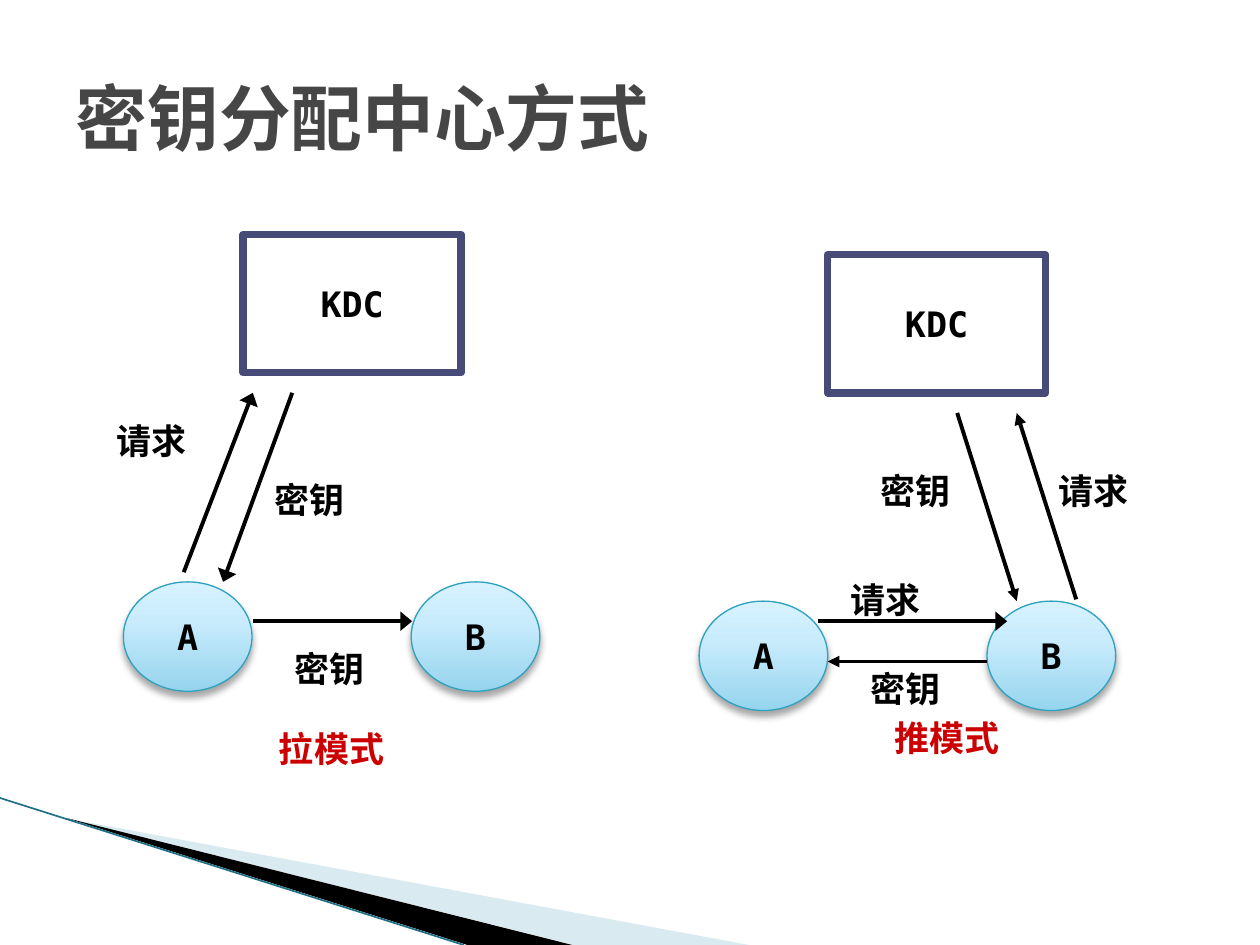
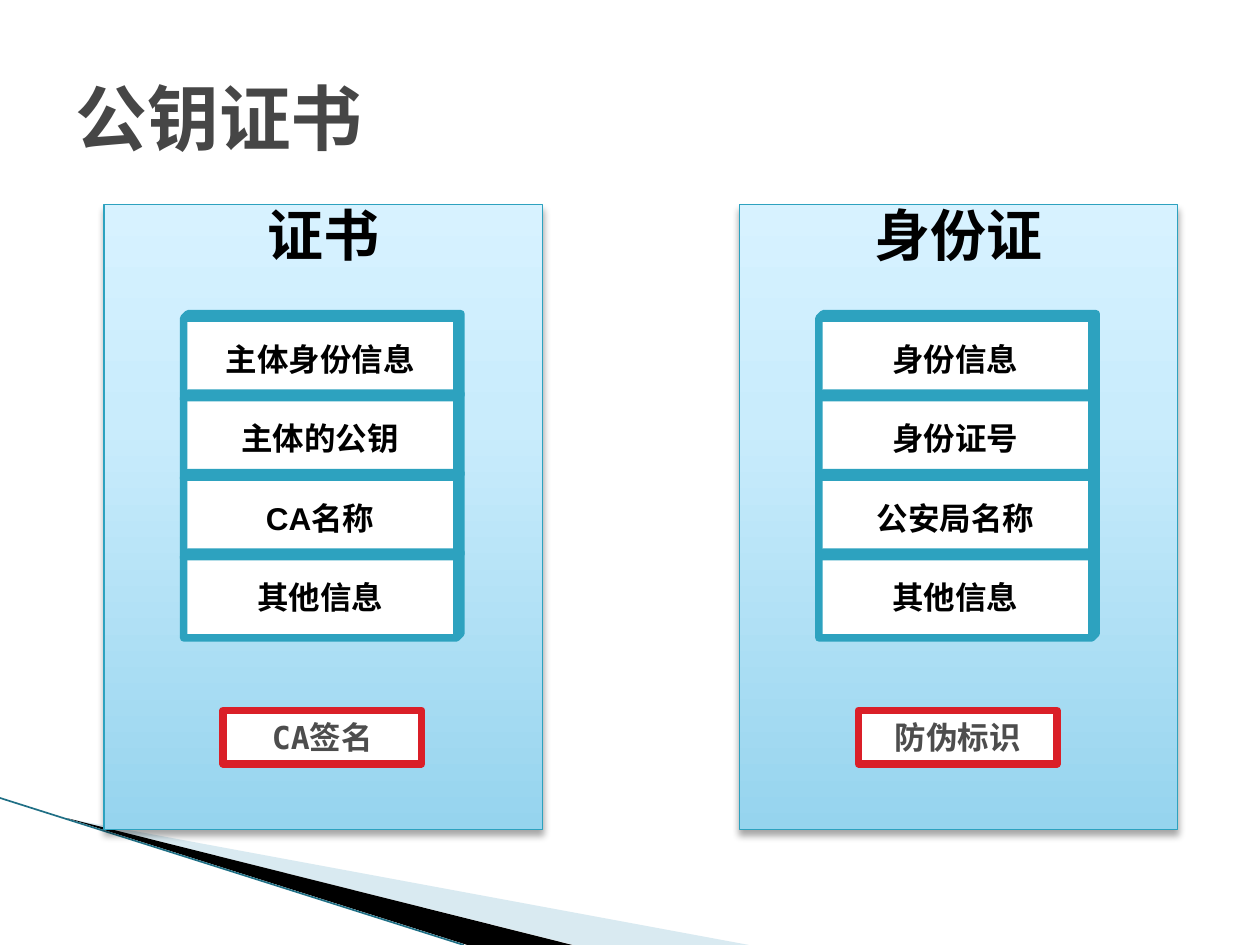
"""Build two slides on key distribution centres and public key certificates."""

import lxml.etree
import pptx
import pptx.dml.color
import pptx.enum.lang
import pptx.enum.shapes
import pptx.enum.text
import pptx.oxml.ns
import pptx.util

Pt = pptx.util.Pt
qn = pptx.oxml.ns.qn
SHAPES = pptx.enum.shapes.MSO_SHAPE
ALIGN = pptx.enum.text.PP_ALIGN
ANCHOR = pptx.enum.text.MSO_ANCHOR

COLORS = {
    "title": "464646",
    "black": "000000",
    "white": "FFFFFF",
    "navy": "474B78",
    "teal": "2DA2BF",
    "red": "DA1F28",
    "mode": "CC0000",
    "seal": "4D4D4D",
    "wedge": "A0CBDC",
    "edge": "1F6F85",
}
GRADIENT = [(0, "96D4EE"), (65, "C9ECFC"), (100, "D7F2FF")]
MONO = "DejaVu Sans Mono"
SANS = "Arial"


def rgb(name):
    return pptx.dml.color.RGBColor.from_string(COLORS[name])


def place(shape, left, top, width, height):
    shape.left, shape.top = Pt(left), Pt(top)
    shape.width, shape.height = Pt(width), Pt(height)


def write(shape, text, size, font, color="black", align=ALIGN.CENTER,
          anchor=ANCHOR.MIDDLE, wrap=True):
    frame = shape.text_frame
    frame.text = text
    frame.word_wrap = wrap
    frame.auto_size = pptx.enum.text.MSO_AUTO_SIZE.NONE
    frame.vertical_anchor = anchor
    paragraph = frame.paragraphs[0]
    paragraph.alignment = align
    for run in paragraph.runs:
        run.font.size = Pt(size)
        run.font.name = font
        run.font.bold = True
        run.font.color.rgb = rgb(color)
        run.font.language_id = pptx.enum.lang.MSO_LANGUAGE_ID.SIMPLIFIED_CHINESE


def outline(shape, color, width):
    shape.line.color.rgb = rgb(color)
    shape.line.width = Pt(width)


def glossy(shape):
    """Give a shape the pale blue gradient, thin teal line and soft shadow."""
    shape.fill.gradient()
    shape.fill.gradient_angle = 90
    properties = shape.element.spPr
    stops = properties.find(".//" + qn("a:gsLst"))
    for stop in list(stops):
        stops.remove(stop)
    for position, value in GRADIENT:
        stop = lxml.etree.SubElement(stops, qn("a:gs"), pos=str(position * 1000))
        lxml.etree.SubElement(stop, qn("a:srgbClr"), val=value)
    outline(shape, "teal", 0.75)
    shape.shadow.inherit = False
    shadow = lxml.etree.SubElement(
        properties.find(qn("a:effectLst")), qn("a:outerShdw"),
        blurRad=str(Pt(4)), dist=str(Pt(3)), dir="5400000", rotWithShape="0")
    shade = lxml.etree.SubElement(shadow, qn("a:srgbClr"), val=COLORS["black"])
    lxml.etree.SubElement(shade, qn("a:alpha"), val="35000")


def add_preset(slide, preset, left, top, width, height):
    return slide.shapes.add_shape(preset, Pt(left), Pt(top), Pt(width), Pt(height))


def add_framed(slide, preset, box, text, size, font, line, color="black", wrap=False):
    shape = add_preset(slide, preset, *box)
    shape.shadow.inherit = False
    shape.fill.solid()
    shape.fill.fore_color.rgb = rgb("white")
    outline(shape, line, 4.33)
    write(shape, text, size, font, color, wrap=wrap)
    return shape


def add_party(slide, name, left, top):
    party = add_preset(slide, SHAPES.OVAL, left, top, 73.5, 62.5)
    glossy(party)
    write(party, name, 20, MONO, wrap=False)


def add_label(slide, text, left, top, width=57, color="black", align=ALIGN.LEFT):
    label = slide.shapes.add_textbox(Pt(left), Pt(top), Pt(width), Pt(31.5))
    write(label, text, 20, SANS, color, align, ANCHOR.TOP)


def add_line(slide, start, end, color, width):
    line = slide.shapes.add_connector(
        pptx.enum.shapes.MSO_CONNECTOR.STRAIGHT, *map(Pt, start + end))
    outline(line, color, width)
    lxml.etree.SubElement(line.element.spPr, qn("a:effectLst"))
    return line


def add_arrow(slide, start, end, head_width):
    arrow = add_line(slide, start, end, "black", 2.25)
    lxml.etree.SubElement(arrow.line._get_or_add_ln(), qn("a:tailEnd"),
                          type="triangle", w=head_width, len="med")


def add_wedge(slide, points, color):
    corners = [(Pt(x), Pt(y)) for x, y in points]
    builder = slide.shapes.build_freeform(*corners[0], scale=1.0)
    builder.add_line_segments(corners[1:], close=True)
    wedge = builder.convert_to_shape()
    wedge.shadow.inherit = False
    wedge.fill.solid()
    wedge.fill.fore_color.rgb = rgb(color)
    wedge.line.fill.background()
    return wedge


def decorate_master(presentation, slide):
    """Draw the corner wedges and move them behind everything on the master."""
    light = add_wedge(slide, [(39.5, 468), (428, 540), (328, 540)], "wedge")
    tint = light.element.spPr.find(".//" + qn("a:srgbClr"))
    lxml.etree.SubElement(tint, qn("a:alpha"), val="40000")
    dark = add_wedge(slide, [(38, 467.5), (327, 540), (267, 540)], "black")
    edge = add_line(slide, (0, 456), (265, 540), "edge", 0.95)
    tree = presentation.slide_master.shapes.element
    for index, shape in enumerate((light, dark, edge)):
        shape.element.xpath(".//p:cNvPr")[0].set("id", str(100 + index))
        tree.insert(2 + index, shape.element)


def add_titled_slide(presentation, layout, title):
    slide = presentation.slides.add_slide(presentation.slide_layouts[layout])
    place(slide.shapes.title, 36, 21.6, 648, 90)
    write(slide.shapes.title, title, 41, MONO, "title", ALIGN.LEFT)
    return slide


def add_key_mode(slide, mode, center, parties, arrows, labels):
    """Draw one key distribution mode: centre, two parties, arrows and labels."""
    add_framed(slide, SHAPES.RECTANGLE, (*center, 124.5, 79), "KDC", 20, MONO, "navy")
    left, top = parties
    add_party(slide, "A", left, top)
    add_party(slide, "B", left + 164.5, top)
    for arrow in arrows:
        add_arrow(slide, *arrow)
    for label in labels:
        add_label(slide, *label)
    add_label(slide, *mode, width=227, color="mode", align=ALIGN.CENTER)


def fill_card(slide, card, heading, fields, seal):
    """Fill a card with its heading, stacked fields and seal."""
    left = card.left.pt
    glossy(card)
    write(card, heading, 32, MONO, anchor=ANCHOR.TOP)
    card.text_frame.paragraphs[0].line_spacing = 0.85
    for row, field in enumerate(fields):
        box = (left + 45.5, 179.3 + 45.4 * row, 158.4, 49)
        cube = add_framed(slide, SHAPES.CUBE, box, field, 18, SANS, "teal", wrap=True)
        cube.adjustments[0] = 0.051
    add_framed(slide, SHAPES.RECTANGLE, (left + 68, 406, 113.5, 30.5),
               seal, 18, MONO, "red", "seal")


def add_certificate_cards(slide):
    certificate = slide.placeholders[1]
    place(certificate, 59.5, 117, 250.5, 357)
    fill_card(slide, certificate, "证书",
              ["主体身份信息", "主体的公钥", "CA名称", "其他信息"], "CA签名")
    properties = certificate.text_frame.paragraphs[0]._p.get_or_add_pPr()
    properties.set("marL", "0")
    properties.set("indent", "0")
    lxml.etree.SubElement(properties, qn("a:buNone"))
    certificate.text_frame.paragraphs[0].space_before = Pt(0)
    identity = add_preset(slide, SHAPES.RECTANGLE, 422.5, 117, 250.5, 357)
    fill_card(slide, identity, "身份证",
              ["身份信息", "身份证号", "公安局名称", "其他信息"], "防伪标识")


def main():
    presentation = pptx.Presentation()
    presentation.slide_width, presentation.slide_height = Pt(720), Pt(540)

    distribution = add_titled_slide(presentation, 5, "密钥分配中心方式")
    decorate_master(presentation, distribution)
    add_key_mode(
        distribution, ("拉模式", 76, 412), (139, 134), (70.5, 332.5),
        [((167, 224.5), (127.5, 332.5), "lg"),
         ((144.5, 355), (235.5, 355), "lg"),
         ((105, 327), (144.5, 224.5), "lg")],
        [("密钥", 150, 270), ("请求", 59.5, 236), ("密钥", 161, 366.5)])
    add_key_mode(
        distribution, ("推模式", 427.5, 406), (473, 145.5), (399.5, 343.5),
        [((615, 342.5), (581, 236), "med"),
         ((564, 378), (473, 378), "med"),
         ((547, 236), (581, 343.5), "med"),
         ((467.5, 355), (575.5, 355), "lg")],
        [("密钥", 496, 264.5), ("请求", 479, 327),
         ("密钥", 490.5, 378), ("请求", 598, 264.5)])

    add_certificate_cards(add_titled_slide(presentation, 1, "公钥证书"))
    presentation.save("out.pptx")


if __name__ == "__main__":
    main()
